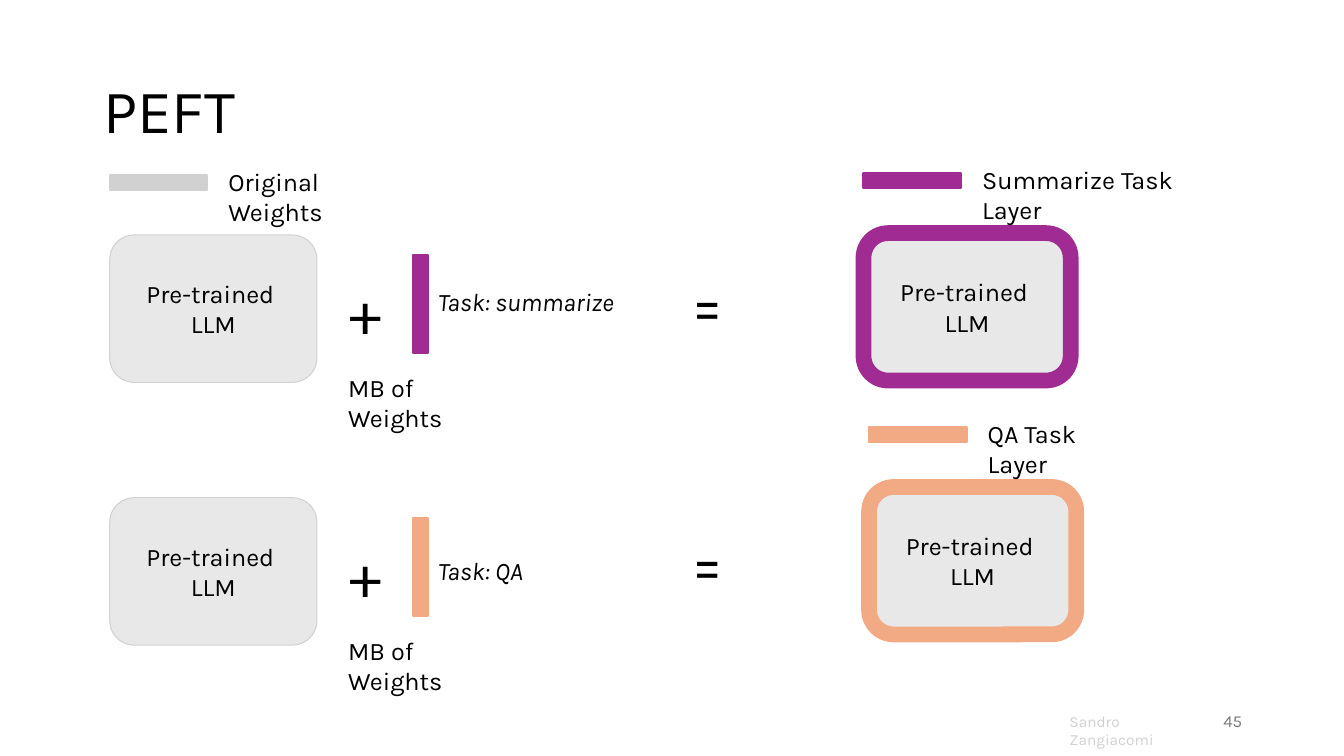
from pptx import Presentation
from pptx.dml.color import RGBColor
from pptx.enum.shapes import MSO_SHAPE
from pptx.enum.text import MSO_ANCHOR, PP_ALIGN
from pptx.util import Inches, Pt

COLORS = {
    "text": "000000", "card": "E8E8E8", "base": "D1D1D1",
    "summarize": "A02B93", "qa": "F2AA84", "number": "797979",
}
FONT = "Karla"
SLIDE_W, SLIDE_H = Inches(13.33), Inches(7.5)
COL, ROW = SLIDE_W / 12, SLIDE_H / 12
CARD_W, CARD_H = 1.85, 2.34
BAR_LENGTH_COLS, BAR_LENGTH_ROWS = 0.87, 1.55
BAR_THICK_COLS, BAR_THICK_ROWS = 0.13, 0.23
LABEL_H, SIGN_W, SIGN_H = 0.64, 0.48, 1.34


def grid(x, y, w, h):
    """Turn columns and rows into slide lengths."""
    return round(x * COL), round(y * ROW), round(w * COL), round(h * ROW)


def color(name):
    return RGBColor.from_string(COLORS[name])


def write(frame, text, size=18, ink="text", align=PP_ALIGN.LEFT, italic=None):
    frame.word_wrap = True
    frame.text = text
    paragraph = frame.paragraphs[0]
    paragraph.alignment = align
    font = paragraph.font
    font.name, font.size, font.italic = FONT, Pt(size), italic
    font.color.rgb = color(ink)
    return paragraph


def add_label(slide, box, text, **style):
    frame = slide.shapes.add_textbox(*grid(*box)).text_frame
    write(frame, text, **style)
    return frame


def add_block(slide, preset, box, fill, line, line_width):
    block = slide.shapes.add_shape(preset, *grid(*box))
    block.shadow.inherit = False
    block.fill.solid()
    block.fill.fore_color.rgb = color(fill)
    block.line.color.rgb = color(line)
    block.line.width = Pt(line_width)
    return block


def add_bar(slide, box, hue):
    add_block(slide, MSO_SHAPE.RECTANGLE, box, hue, hue, 1.5)


def add_model(slide, x, y, border, border_width):
    card = add_block(slide, MSO_SHAPE.ROUNDED_RECTANGLE, (x, y, CARD_W, CARD_H),
                     "card", border, border_width)
    card.text_frame.vertical_anchor = MSO_ANCHOR.MIDDLE
    write(card.text_frame, "Pre-trained \vLLM", align=PP_ALIGN.CENTER)


def add_legend(slide, x, y, hue, text, width):
    """Place a colour key above the card whose corner is at x, y."""
    add_bar(slide, (x, y - 0.95, BAR_LENGTH_COLS, BAR_THICK_ROWS), hue)
    add_label(slide, (x + 0.97, y - 1.17, width, LABEL_H), text)


def add_equation(slide, x, y, hue, task, task_y, equals_y):
    """Place the base model, the added weights and the equals sign."""
    add_model(slide, x, y, "base", 0)
    add_label(slide, (x + 2.05, y + 0.53, SIGN_W, SIGN_H), "+", size=44)
    add_bar(slide, (x + 2.71, y + 0.32, BAR_THICK_COLS, BAR_LENGTH_ROWS), hue)
    add_label(slide, (x + 2.04, y + 2.1, 1.58, LABEL_H), "MB of Weights")
    add_label(slide, (x + 2.84, y + task_y, 1.82, LABEL_H), task, italic=True)
    add_label(slide, (x + 5.11, y + equals_y, SIGN_W, SIGN_H), "=", size=44)


def add_result(slide, x, y, hue, legend, legend_width):
    add_model(slide, x, y, hue, 11.25)
    add_legend(slide, x, y, hue, legend, legend_width)


def add_title(slide, box, text):
    title = slide.shapes.title
    title.left, title.top, title.width, title.height = grid(*box)
    title.text_frame.vertical_anchor = MSO_ANCHOR.MIDDLE
    write(title.text_frame, text, size=44).line_spacing = 0.9


def add_footer(slide, y):
    add_label(slide, (9.46, y + 0.1, 1.34, 0.46), "Sandro Zangiacomi", size=11, ink="base")
    number = add_label(slide, (8.48, y, 2.7, LABEL_H), "45", size=12, ink="number",
                       align=PP_ALIGN.RIGHT)
    number.vertical_anchor = MSO_ANCHOR.MIDDLE


def main():
    deck = Presentation()
    deck.slide_width, deck.slide_height = SLIDE_W, SLIDE_H
    slide = deck.slides.add_slide(deck.slide_layouts[5])
    add_title(slide, (0.83, 0.64, 1.58, 2.32), "PEFT")

    left, summarize_y, qa_y = 0.98, 3.73, 7.9
    add_equation(slide, left, summarize_y, "summarize", "Task: summarize", 0.74, 0.4)
    add_equation(slide, left, qa_y, "qa", "Task: QA", 0.83, 0.34)
    add_legend(slide, left, summarize_y, "base", "Original Weights", 1.78)
    add_result(slide, 7.71, 3.7, "summarize", "Summarize Task Layer", 2.35)
    add_result(slide, 7.76, 7.73, "qa", "QA Task Layer", 1.5)
    add_footer(slide, 11.12)
    deck.save("out.pptx")


if __name__ == "__main__":
    main()
